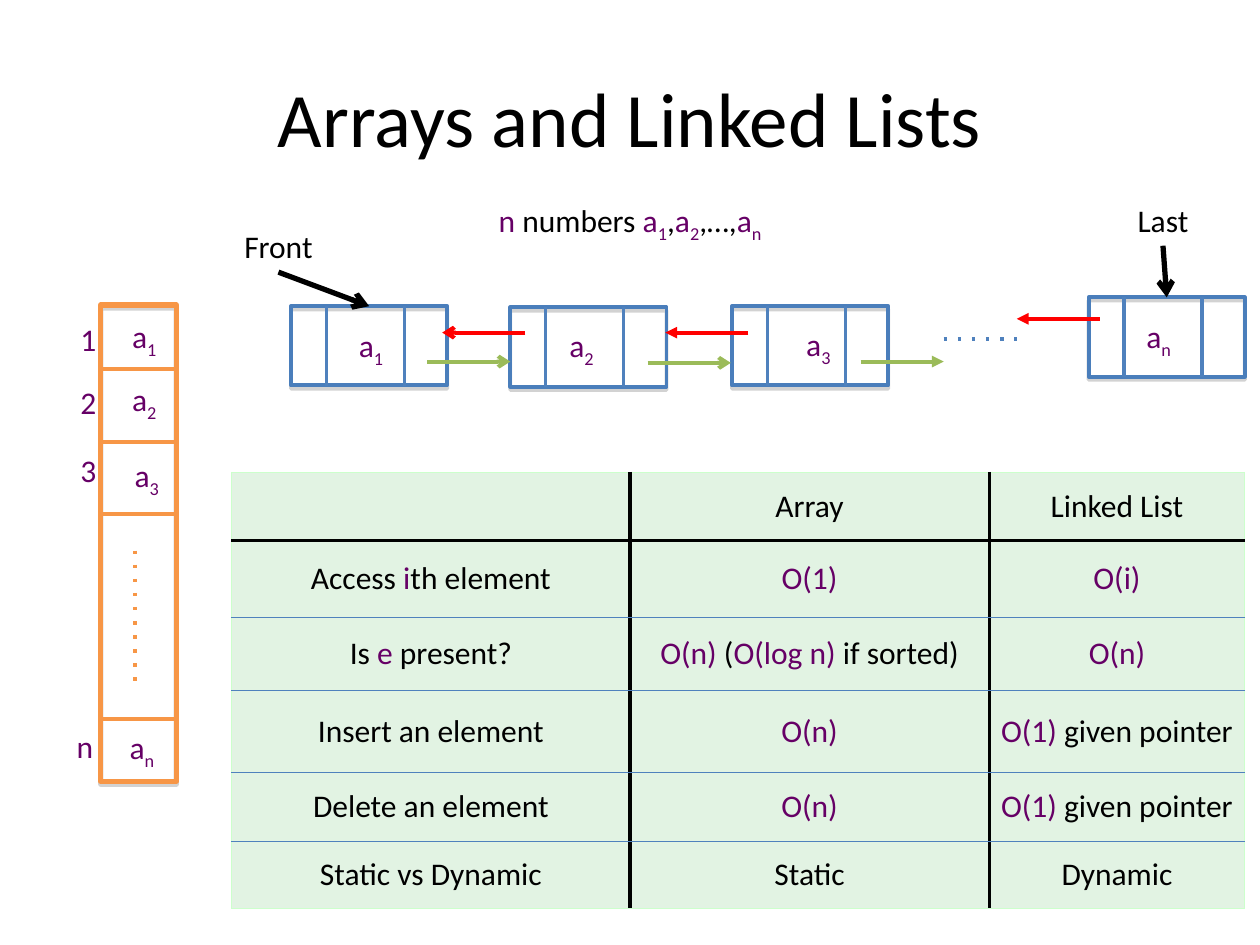
from pptx import Presentation
from pptx.dml.color import RGBColor
from pptx.enum.shapes import MSO_CONNECTOR as CONN, MSO_SHAPE as SHAPE
from pptx.enum.text import MSO_ANCHOR as ANCHOR, PP_ALIGN as ALIGN
from pptx.oxml import parse_xml
from pptx.oxml.ns import nsdecls
from pptx.util import Inches, Pt

BLACK = RGBColor(0x00, 0x00, 0x00)
PURPLE = RGBColor(0x66, 0x00, 0x66)
ORANGE = RGBColor(0xF7, 0x96, 0x46)
BLUE = RGBColor(0x4F, 0x81, 0xBD)
NODE_BLUE = RGBColor(0x4A, 0x7E, 0xBB)
GREEN = RGBColor(0x9B, 0xBB, 0x59)
RED = RGBColor(0xFF, 0x00, 0x00)
PALE = RGBColor(0xE2, 0xF3, 0xE3)
EDGE = RGBColor(0xCC, 0xFF, 0xCC)

TITLE = "Arrays and Linked Lists"
LABELS = [
    ("|n| numbers |a_1|,|a_2|,…,|a_n|", 3.86, 1.55, 2.4),
    ("Front", 1.84, 1.75, 0.85),
    ("Last", 8.93, 1.55, 0.7),
]
ARRAY = [
    ("1", 0.54, 2.49, 0.95, 2.47),
    ("2", 0.54, 2.99, 0.95, 2.97),
    ("3", 0.54, 3.53, 0.97, 3.57),
    ("n", 0.51, 5.72, 0.93, 5.73),
]
ARRAY_RULES = [2.93, 3.51, 4.08, 5.71]
NODES = [
    ("1", 2.31, 2.43, 2.75, 2.54),
    ("2", 4.05, 2.44, 4.42, 2.54),
    ("3", 5.81, 2.43, 6.3, 2.53),
    ("n", 8.64, 2.36, 9.0, 2.47),
]
INDEX_WIDTH, ITEM_WIDTH = 0.38, 0.48
LINKS = [
    (3.39, 2.87, GREEN, "arrow"),
    (4.17, 2.64, RED, "arrow"),
    (5.14, 2.88, GREEN, "arrow"),
    (5.94, 2.64, RED, "triangle"),
    (6.83, 2.87, GREEN, "triangle"),
    (8.73, 2.53, RED, "triangle"),
]
LINK_LENGTH = 0.66
ROWS = [
    ("", "Array", "Linked List"),
    ("Access |i|th element", "|O(1)|", "|O(i)|"),
    ("Is |e| present?", "|O(n)| (|O(log n)| if sorted)", "|O(n)|"),
    ("Insert an element", "|O(n)|", "|O(1)| given pointer"),
    ("Delete an element", "|O(n)|", "|O(1)| given pointer"),
    ("Static vs Dynamic", "Static", "Dynamic"),
]
COL_EDGES = [1.84, 5.0, 7.85, 9.88]
ROW_EDGES = [3.75, 4.29, 4.9, 5.48, 6.13, 6.68, 7.21]


def write(tf, text, size=18, align=ALIGN.LEFT):
    p = tf.paragraphs[0]
    p.alignment = align
    for i, part in enumerate(text.split("|")):
        base, _, sub = part.partition("_")
        for piece, shift in ((base, None), (sub, "-25000")):
            if piece:
                r = p.add_run()
                r.text = piece
                r.font.name = "Calibri"
                r.font.size = Pt(size)
                r.font.color.rgb = PURPLE if i % 2 else BLACK
                if shift:
                    r.font._element.set("baseline", shift)


def add_label(text, x, y, w):
    h = 0.44 if "_" in text else 0.4
    tb = slide.shapes.add_textbox(Inches(x), Inches(y), Inches(w), Inches(h))
    tb.text_frame.word_wrap = False
    write(tb.text_frame, text)


def add_box(x, y, w, h, color, width):
    sp = slide.shapes.add_shape(SHAPE.RECTANGLE, Inches(x), Inches(y), Inches(w), Inches(h))
    sp.fill.background()
    sp.line.color.rgb = color
    sp.line.width = Pt(width)
    sp._element.spPr.append(parse_xml(
        f'<a:effectLst {nsdecls("a")}><a:outerShdw dist="22860" dir="5400000" rotWithShape="0">'
        '<a:srgbClr val="808080"><a:alpha val="35000"/></a:srgbClr></a:outerShdw></a:effectLst>'))
    return sp


def add_line(x1, y1, x2, y2, color, width, head=None, dash=None):
    cx = slide.shapes.add_connector(CONN.STRAIGHT, Inches(x1), Inches(y1), Inches(x2), Inches(y2))
    cx.line.color.rgb = color
    cx.line.width = Pt(width)
    ln = cx.line._get_or_add_ln()
    if dash:
        ln.append(parse_xml(f'<a:prstDash {nsdecls("a")} val="{dash}"/>'))
    if head:
        ln.append(parse_xml(f'<a:tailEnd {nsdecls("a")} type="{head}"/>'))
    cx._element.spPr.append(parse_xml(f'<a:effectLst {nsdecls("a")}/>'))
    return cx


def set_borders(cell, **sides):
    for side in "LRTB":
        color, width = sides[side]
        cell._tc.get_or_add_tcPr().append(parse_xml(
            f'<a:ln{side} {nsdecls("a")} w="{Pt(width)}"><a:solidFill>'
            f'<a:srgbClr val="{color}"/></a:solidFill></a:ln{side}>'))


def sizes(edges):
    return [Inches(round(b - a, 2)) for a, b in zip(edges, edges[1:])]


def add_comparison():
    frame = slide.shapes.add_table(
        len(ROWS), len(ROWS[0]), Inches(COL_EDGES[0]), Inches(ROW_EDGES[0]),
        Inches(COL_EDGES[-1] - COL_EDGES[0]), Inches(ROW_EDGES[-1] - ROW_EDGES[0]))
    table = frame.table
    table.horz_banding = False
    for col, width in zip(table.columns, sizes(COL_EDGES)):
        col.width = width
    for row, height in zip(table.rows, sizes(ROW_EDGES)):
        row.height = height
    outer, thick, thin = (EDGE, 0.75), (BLACK, 2), (BLUE, 0.75)
    across = [outer, thick] + [thin] * (len(ROWS) - 2) + [outer]
    down = [outer, thick, thick, outer]
    for i, row in enumerate(ROWS):
        for j, text in enumerate(row):
            cell = table.cell(i, j)
            set_borders(cell, L=down[j], R=down[j + 1], T=across[i], B=across[i + 1])
            cell.fill.solid()
            cell.fill.fore_color.rgb = PALE
            cell.vertical_anchor = ANCHOR.MIDDLE
            cell.margin_left = cell.margin_right = Inches(0.05)
            cell.margin_top = cell.margin_bottom = Inches(0.03)
            write(cell.text_frame, text, align=ALIGN.CENTER)


prs = Presentation()
prs.slide_width, prs.slide_height = Inches(10), Inches(7.5)
slide = prs.slides.add_slide(prs.slide_layouts[5])
title = slide.shapes.title
title.left, title.top, title.width, title.height = map(Inches, (0.5, 0.3, 9, 1.25))
title.text_frame.vertical_anchor = ANCHOR.MIDDLE
write(title.text_frame, TITLE, size=44, align=ALIGN.CENTER)

for label in LABELS:
    add_label(*label)

add_box(0.8, 2.42, 0.6, 3.78, ORANGE, 3)
for y in ARRAY_RULES:
    add_line(0.8, y, 1.4, y, ORANGE, 2.25)
for index, x, y, item_x, item_y in ARRAY:
    add_label(f"|{index}|", x, y, INDEX_WIDTH)
    add_label(f"|a_{index}|", item_x, item_y, ITEM_WIDTH)
add_line(1.07, 4.37, 1.07, 5.48, ORANGE, 2, dash="dot")

nodes = []
for index, x, y, item_x, item_y in NODES:
    nodes.append(add_box(x, y, 1.24, 0.63, NODE_BLUE, 2.25))
    for offset in (0.28, 0.9):
        add_line(x + offset, y, x + offset, y + 0.63, BLUE, 2)
    add_label(f"|a_{index}|", item_x, item_y, ITEM_WIDTH)
for x, y, color, head in LINKS:
    step = LINK_LENGTH if color == GREEN else -LINK_LENGTH
    add_line(x, y, x + step, y, color, 2.25, head=head)
add_line(7.49, 2.69, 8.07, 2.69, BLUE, 2, dash="dot")
for x, y, node in ((2.21, 2.16, nodes[0]), (9.23, 1.95, nodes[-1])):
    pointer = add_line(x, y, x, y + 0.4, BLACK, 3, head="arrow")
    pointer.end_connect(node, 0)

add_comparison()
prs.save("out.pptx")
